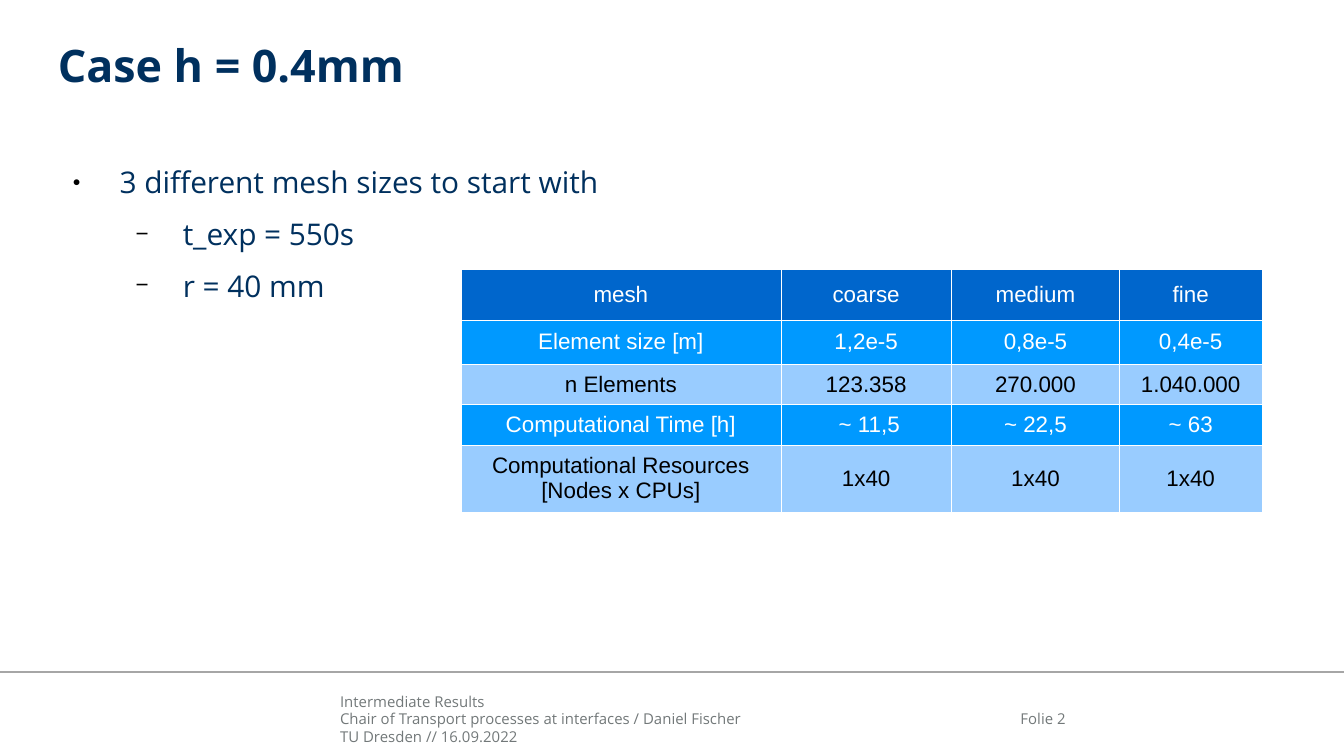
from lxml import etree
from pptx import Presentation
from pptx.dml.color import RGBColor
from pptx.enum.shapes import MSO_CONNECTOR
from pptx.enum.text import MSO_ANCHOR, PP_ALIGN
from pptx.oxml.ns import qn
from pptx.util import Inches, Pt

STRAIGHT = MSO_CONNECTOR.STRAIGHT
TOP, MIDDLE = MSO_ANCHOR.TOP, MSO_ANCHOR.MIDDLE
LEFT, CENTER, RIGHT = PP_ALIGN.LEFT, PP_ALIGN.CENTER, PP_ALIGN.RIGHT

SLIDE_WIDTH = 10
SLIDE_HEIGHT = SLIDE_WIDTH * 9 / 16

NAVY, GREY, RULE_GREY = "00305E", "727879", "A6A6A6"
WHITE, BLACK = "FFFFFF", "000000"
HEADER_BLUE, BRIGHT_BLUE, PALE_BLUE = "0066CC", "0099FF", "99CCFF"

TITLE_FONT = {"name": "Open Sans", "size": Pt(24), "bold": True}
BODY_FONT = {"name": "Open Sans", "size": Pt(16)}
FOOTER_FONT = {"name": "Open Sans", "size": Pt(8)}
TABLE_FONT = {"name": "Arial", "size": Pt(12)}

# Per level: bullet sign, bullet size in %, left indent, space before
BULLETS = [("●", 45, 0.47, 12), ("−", 75, 0.94, 8.5)]
HANGING = 0.35

POINTS = [
    (0, "3 different mesh sizes to start with"),
    (1, "t_exp = 550s"),
    (1, "r = 40 mm"),
]
FOOTER_LINES = [
    "Intermediate Results",
    "Chair of Transport processes at interfaces / Daniel Fischer",
    "TU Dresden // 16.09.2022",
]
COLUMN_WIDTHS = [2.38, 1.27, 1.25, 1.06]
# Row height, fill, text colour, cell texts; the last row grows with its text
MESH_ROWS = [
    (0.38, HEADER_BLUE, WHITE, ["mesh", "coarse", "medium", "fine"]),
    (0.33, BRIGHT_BLUE, WHITE, ["Element size [m]", "1,2e-5", "0,8e-5", "0,4e-5"]),
    (0.29, PALE_BLUE, BLACK, ["n Elements", "123.358", "270.000", "1.040.000"]),
    (0.29, BRIGHT_BLUE, WHITE, ["Computational Time [h]", " ~ 11,5", "~ 22,5", "~ 63"]),
    (0.29, PALE_BLUE, BLACK,
     ["Computational Resources [Nodes x CPUs]", "1x40", "1x40", "1x40"]),
]


def rgb(value):
    return RGBColor.from_string(value)


def write(paragraph, text, font, color, align=LEFT):
    run = paragraph.add_run()
    run.text = text
    for key, value in font.items():
        setattr(run.font, key, value)
    run.font.color.rgb = rgb(color)
    paragraph.alignment = align


def add_text(slide, box, lines, font, color, align=LEFT, anchor=TOP):
    frame = slide.shapes.add_textbox(*map(Inches, box)).text_frame
    frame.word_wrap = True
    frame.vertical_anchor = anchor
    for side in ("left", "top", "right", "bottom"):
        setattr(frame, f"margin_{side}", 0)
    for index, line in enumerate(lines):
        paragraph = frame.add_paragraph() if index else frame.paragraphs[0]
        write(paragraph, line, font, color, align)
    return frame


def set_bullet(paragraph, level):
    sign, percent, indent, space = BULLETS[level]
    paragraph.level = level
    paragraph.space_before = Pt(space)
    props = paragraph._p.get_or_add_pPr()
    props.set("marL", str(Inches(indent)))
    props.set("indent", str(-Inches(HANGING)))
    bullet_color = etree.SubElement(props, qn("a:buClr"))
    etree.SubElement(bullet_color, qn("a:srgbClr"), val=BLACK)
    etree.SubElement(props, qn("a:buSzPct"), val=str(percent * 1000))
    etree.SubElement(props, qn("a:buFont"), typeface="Arial")
    etree.SubElement(props, qn("a:buChar"), char=sign)


def set_borders(cell, color, width):
    props = cell._tc.get_or_add_tcPr()
    for index, side in enumerate(("lnL", "lnR", "lnT", "lnB")):
        line = etree.Element(qn(f"a:{side}"), w=str(Pt(width)))
        fill = etree.SubElement(line, qn("a:solidFill"))
        etree.SubElement(fill, qn("a:srgbClr"), val=color)
        props.insert(index, line)


def add_points(slide, box):
    frame = add_text(slide, box, [text for _, text in POINTS], BODY_FONT, NAVY)
    for paragraph, (level, _) in zip(frame.paragraphs, POINTS):
        set_bullet(paragraph, level)


def add_mesh_table(slide, box):
    table_frame = slide.shapes.add_table(
        len(MESH_ROWS), len(COLUMN_WIDTHS), *map(Inches, box))
    mesh = table_frame.table
    for column, width in zip(mesh.columns, COLUMN_WIDTHS):
        column.width = Inches(width)
    for row, (height, fill, color, texts) in zip(mesh.rows, MESH_ROWS):
        row.height = Inches(height)
        for cell, text in zip(row.cells, texts):
            cell.vertical_anchor = MIDDLE
            set_borders(cell, WHITE, 0.06)
            cell.fill.solid()
            cell.fill.fore_color.rgb = rgb(fill)
            write(cell.text_frame.paragraphs[0], text, TABLE_FONT, color, CENTER)
    table_frame.height = Inches(box[3])


def add_footer(slide, left, top, width):
    # Rule across the slide
    rule = slide.shapes.add_connector(
        STRAIGHT, *map(Inches, (left, top, left + width, top)))
    rule.line.color.rgb = rgb(RULE_GREY)
    rule.line.width = Pt(1)
    etree.SubElement(rule._element.spPr, qn("a:effectLst"))
    # Talk details and slide number
    add_text(slide, (left + 2.53, top + 0.15, 4.52, 0.4),
             FOOTER_LINES, FOOTER_FONT, GREY)
    add_text(slide, (left + 7.17, top + 0.15, 0.76, 0.39),
             ["Folie 2"], FOOTER_FONT, GREY, RIGHT, MIDDLE)


def main():
    deck = Presentation()
    deck.slide_width, deck.slide_height = Inches(SLIDE_WIDTH), Inches(SLIDE_HEIGHT)
    slide = deck.slides.add_slide(deck.slide_layouts[6])
    add_footer(slide, 0, 5, SLIDE_WIDTH)
    add_text(slide, (0.43, 0.28, 9.15, 0.67), ["Case h = 0.4mm"], TITLE_FONT, NAVY)
    add_points(slide, (0.42, 1.22, 9.16, 3.49))
    add_mesh_table(slide, (3.43, 2, sum(COLUMN_WIDTHS), 1.76))
    deck.save("out.pptx")


if __name__ == "__main__":
    main()
